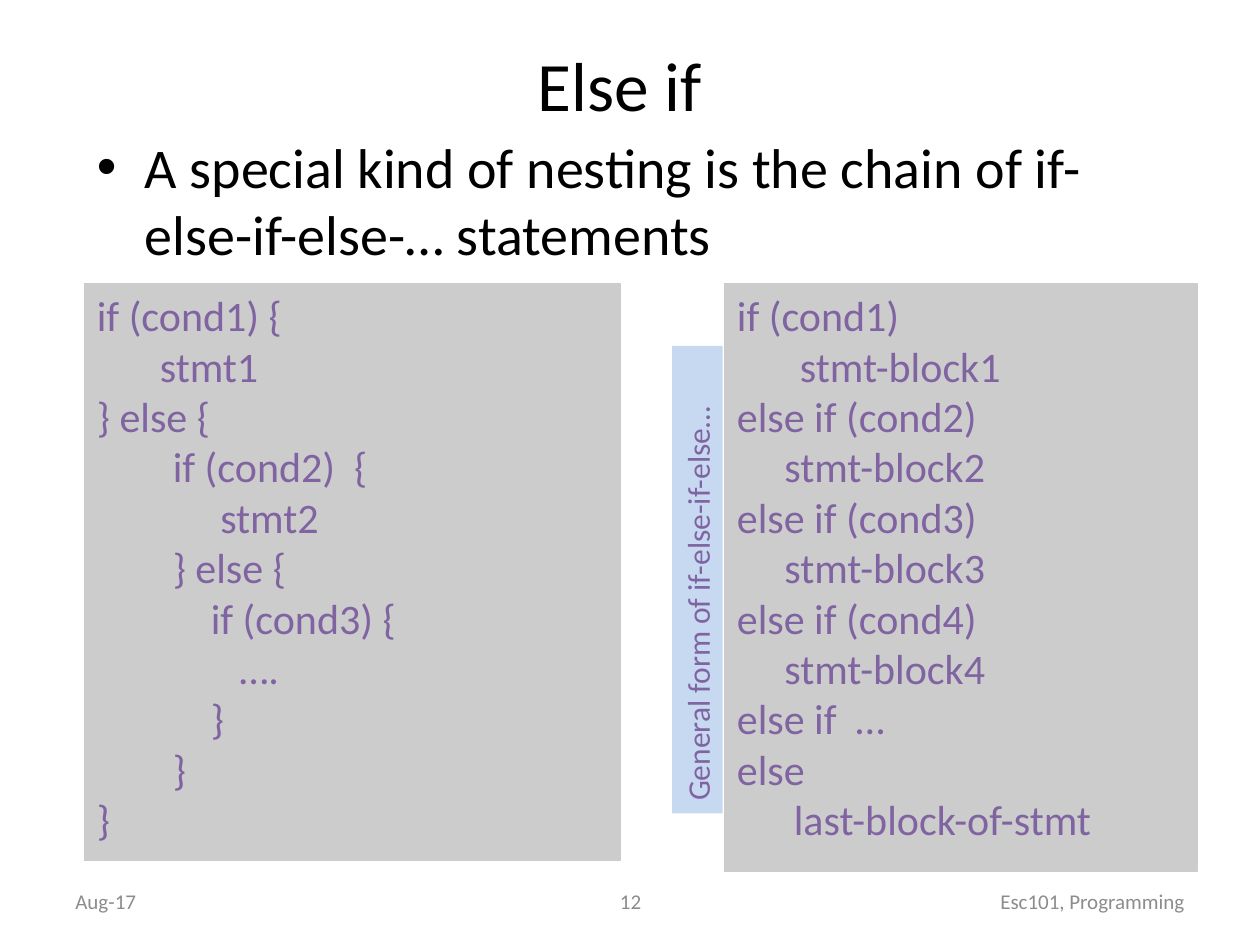
from lxml.etree import SubElement
from pptx import Presentation
from pptx.dml.color import RGBColor
from pptx.enum.shapes import MSO_SHAPE as Shape
from pptx.enum.text import MSO_ANCHOR as Anchor, MSO_AUTO_SIZE as AutoSize, PP_ALIGN as Align
from pptx.oxml.ns import qn
from pptx.util import Inches, Pt

# Content
TITLE = "Else if"
BULLET = "A special kind of nesting is the chain of if-else-if-else-… statements"
LABEL = "General form of if-else-if-else…"
NESTED_CODE = [
    "if (cond1) {",
    "\tstmt1",
    "} else {",
    "        if (cond2)  {",
    "             stmt2",
    "        } else {",
    "            if (cond3) {",
    "               ….",
    "            }",
    "        }",
    "}",
]
CHAIN_CODE = [
    "if (cond1)",
    "\tstmt-block1",
    "else if (cond2)",
    "     stmt-block2",
    "else if (cond3)",
    "     stmt-block3",
    "else if (cond4)",
    "     stmt-block4",
    "else if  …",
    "else",
    "      last-block-of-stmt",
]
CODE_PANELS = [
    (CHAIN_CODE, (5.75, 2.25, 3.75, 4.67)),
    (NESTED_CODE, (0.67, 2.25, 4.25, 4.58)),
]
FOOTERS = [
    ("Aug-17", (0.5, 6.95, 2.33, 0.4), Align.LEFT),
    ("12", (3.42, 6.95, 3.17, 0.4), Align.CENTER),
    ("Esc101, Programming", (7.17, 6.95, 2.33, 0.4), Align.RIGHT),
]
BLACK, MUTED, PURPLE = "000000", "8C8C8C", "8064A2"
PANEL, PALE_BLUE = "CCCCCC", "C6D9F1"


def color(value):
    return RGBColor.from_string(value)


def write(box, lines, size, ink, align=Align.LEFT, anchor=Anchor.TOP):
    frame = box.text_frame
    frame.word_wrap = True
    frame.vertical_anchor = anchor
    for index, line in enumerate(lines):
        para = frame.paragraphs[0] if index == 0 else frame.add_paragraph()
        para.alignment = align
        span = para.add_run()
        span.text = line
        span.font.name = "Calibri"
        span.font.size = Pt(size)
        span.font.color.rgb = color(ink)
    return frame


def add_text(page, place, *args, **options):
    box = page.shapes.add_textbox(*map(Inches, place))
    return write(box, *args, **options)


def add_rectangle(page, place, fill, line=None):
    box = page.shapes.add_shape(Shape.RECTANGLE, *map(Inches, place))
    box.shadow.inherit = False
    box.fill.solid()
    box.fill.fore_color.rgb = color(fill)
    if line:
        box.line.color.rgb = color(line)
        box.line.width = Pt(0.75)
    else:
        box.line.fill.background()
    return box


deck = Presentation()
deck.slide_width, deck.slide_height = Inches(10), Inches(7.5)
page = deck.slides.add_slide(deck.slide_layouts[6])

# Title and bullet
add_text(page, (0.67, 0.33, 8.5, 0.67), [TITLE], 39.6, BLACK, Align.CENTER, Anchor.MIDDLE)
body = add_text(page, (0.67, 1, 8.75, 2), [BULLET], 32, BLACK)
properties = body.paragraphs[0]._p.get_or_add_pPr()
properties.set("marL", str(Inches(0.38)))
properties.set("indent", str(-Inches(0.38)))
SubElement(properties, qn("a:buFont"), typeface="Arial")
SubElement(properties, qn("a:buChar"), char="•")

# Footer
for text, place, align in FOOTERS:
    add_text(page, place, [text], 12, MUTED, align, Anchor.MIDDLE)

# Code panels
for code, place in CODE_PANELS:
    write(add_rectangle(page, place, PANEL, PANEL), code, 24, PURPLE)

# Sideways label
label = add_rectangle(page, (3.68, 4.4, 3.71, 0.4), PALE_BLUE)
label.rotation = 270
frame = write(label, [LABEL], 18, PURPLE)
frame.word_wrap = False
frame.auto_size = AutoSize.SHAPE_TO_FIT_TEXT

deck.save("out.pptx")
